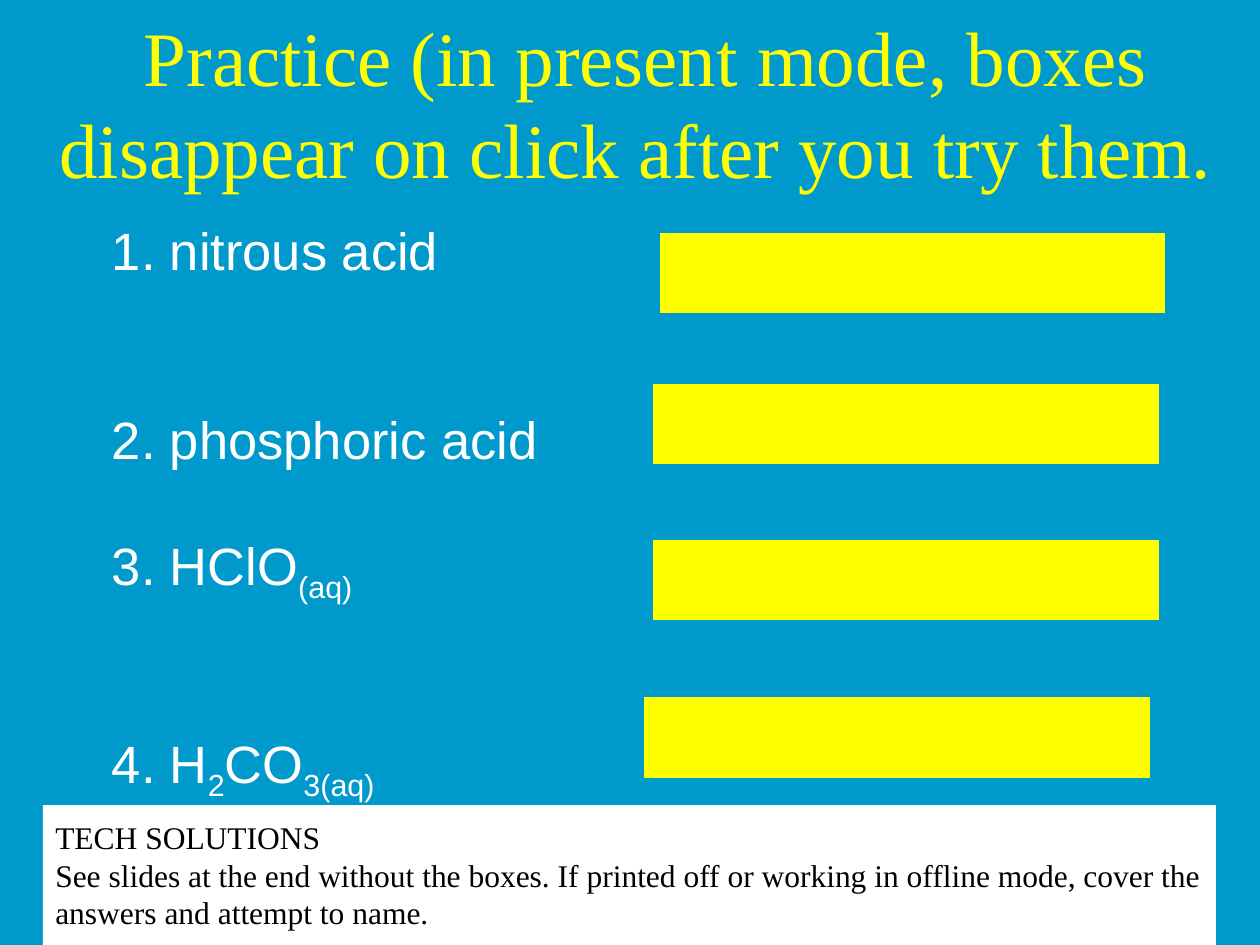
"""Build the acid naming practice slide with covered answers."""
from dataclasses import dataclass

from lxml.etree import SubElement
from pptx import Presentation
from pptx.dml.color import RGBColor
from pptx.enum.shapes import MSO_SHAPE
from pptx.enum.text import MSO_ANCHOR, PP_ALIGN
from pptx.oxml.ns import qn
from pptx.util import Inches, Pt


@dataclass(frozen=True)
class Theme:
    back: RGBColor = RGBColor(0x00, 0x99, 0xCC)
    cover: RGBColor = RGBColor(0xFF, 0xFF, 0x00)
    white: RGBColor = RGBColor(0xFF, 0xFF, 0xFF)
    black: RGBColor = RGBColor(0x00, 0x00, 0x00)
    serif: str = "Times New Roman"
    sans: str = "Arial"
    head: int = 44
    body: int = 30
    note: int = 18


theme = Theme()


def write(para, text, *, size, color, face, align=PP_ALIGN.LEFT, sub=False):
    para.alignment = align
    run = para.add_run()
    run.text = text
    font = run.font
    font.size = Pt(size)
    font.name = face
    font.color.rgb = color
    if sub:
        font._element.set("baseline", "-25000")


def setup(shape, anchor):
    frame = shape.text_frame
    frame.word_wrap = True
    frame.vertical_anchor = anchor
    frame.margin_left = frame.margin_right = Inches(0.1)
    frame.margin_top = frame.margin_bottom = Inches(0.1)
    return frame


deck = Presentation()
deck.slide_width, deck.slide_height = Inches(10), Inches(7.5)
slide = deck.slides.add_slide(deck.slide_layouts[6])
slide.background.fill.solid()
slide.background.fill.fore_color.rgb = theme.back
shapes = slide.shapes

title = shapes.add_textbox(Inches(0.25), Inches(0.26), Inches(9.75), Inches(1.09))
frame = setup(title, MSO_ANCHOR.MIDDLE)
write(frame.paragraphs[0],
      "Practice (in present mode, boxes disappear on click after you try them. ",
      size=theme.head, color=theme.cover, face=theme.serif, align=PP_ALIGN.CENTER)

acids = [
    (0, [("nitrous acid", False)]),
    (72, [("phosphoric acid", False)]),
    (36, [("HClO", False), ("(aq)", True)]),
    (72, [("H", False), ("2", True), ("CO", False), ("3(aq)", True)]),
]
items = shapes.add_textbox(Inches(0.75), Inches(1.63), Inches(5.28), Inches(5.49))
frame = setup(items, MSO_ANCHOR.TOP)
for row, (gap, parts) in enumerate(acids):
    para = frame.add_paragraph() if row else frame.paragraphs[0]
    para.space_before = Pt(gap)
    props = para._p.get_or_add_pPr()
    props.set("marL", str(Inches(0.5)))
    props.set("indent", str(Inches(-0.46)))
    tint = SubElement(props, qn("a:buClr"))
    SubElement(tint, qn("a:srgbClr"), val=str(theme.white))
    SubElement(props, qn("a:buFont"), typeface=theme.sans)
    SubElement(props, qn("a:buAutoNum"), type="arabicPeriod")
    for text, sub in parts:
        write(para, text, size=theme.body, color=theme.white, face=theme.sans, sub=sub)

for left, top in [(5.23, 1.84), (5.18, 3.04), (5.18, 4.28), (5.11, 5.53)]:
    cover = shapes.add_shape(MSO_SHAPE.RECTANGLE, Inches(left), Inches(top),
                             Inches(4.02), Inches(0.65))
    cover.shadow.inherit = False
    cover.fill.solid()
    cover.fill.fore_color.rgb = theme.cover
    cover.line.color.rgb = theme.back
    cover.line.width = Pt(0.75)

note = shapes.add_shape(MSO_SHAPE.RECTANGLE, Inches(0.34), Inches(6.39),
                        Inches(9.31), Inches(1.11))
note.shadow.inherit = False
note.fill.solid()
note.fill.fore_color.rgb = theme.white
note.line.fill.background()
frame = setup(note, MSO_ANCHOR.TOP)
lines = [
    "TECH SOLUTIONS",
    "See slides at the end without the boxes. If printed off or working in "
    "offline mode, cover the answers and attempt to name.",
]
for row, text in enumerate(lines):
    para = frame.add_paragraph() if row else frame.paragraphs[0]
    write(para, text, size=theme.note, color=theme.black, face=theme.serif)

deck.save("out.pptx")
